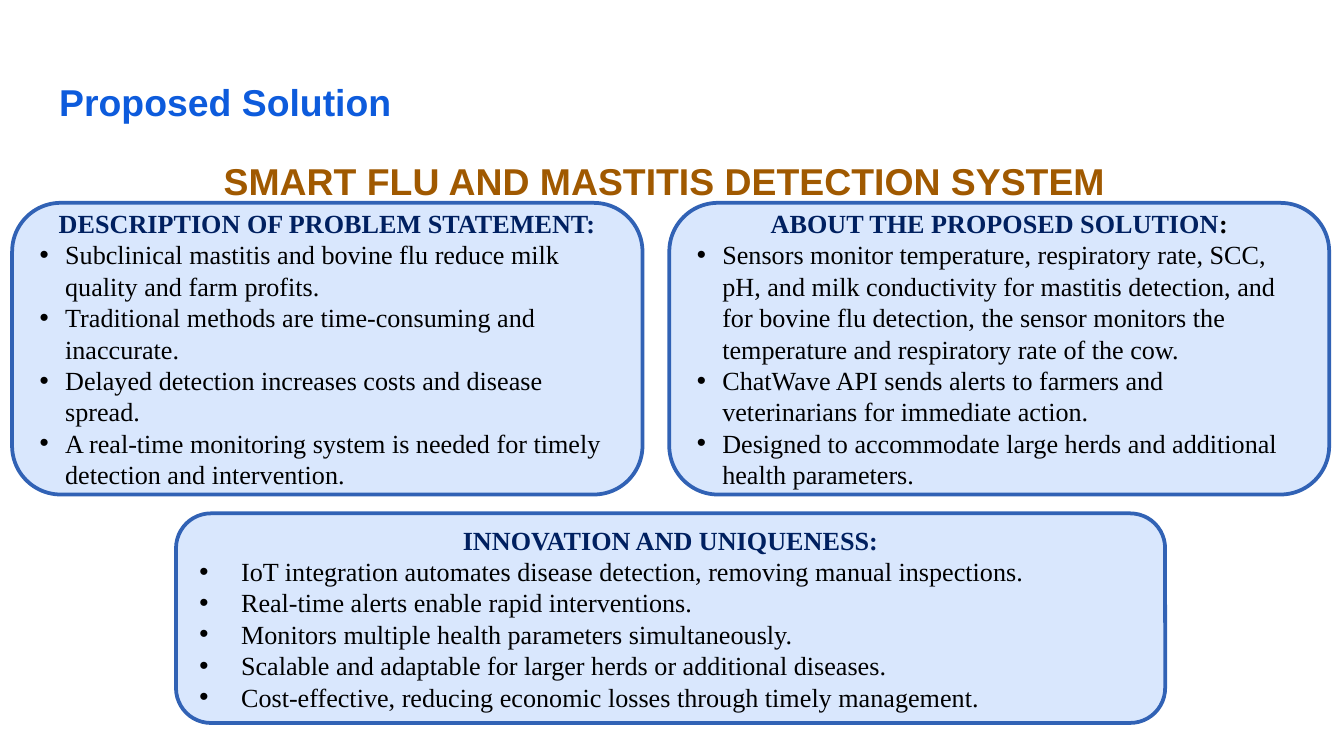
from lxml.etree import SubElement
from pptx import Presentation
from pptx.dml.color import RGBColor
from pptx.enum.shapes import MSO_SHAPE
from pptx.enum.text import MSO_ANCHOR, MSO_AUTO_SIZE, PP_ALIGN
from pptx.oxml.ns import qn
from pptx.util import Inches, Pt

COLORS = {
    "title": "0D5BDC",
    "subtitle": "A05900",
    "heading": "002060",
    "text": "000000",
    "fill": "D9E7FD",
    "line": "3162B5",
}
COLUMNS, ROWS = 100, 56.25
PANEL_ROW, PANEL_HEIGHT = 15.1, 21.7

PROBLEM = [
    "Subclinical mastitis and bovine flu reduce milk quality and farm profits.",
    "Traditional methods are time-consuming and inaccurate.",
    "Delayed detection increases costs and disease spread.",
    "A real-time monitoring system is needed for timely detection and intervention.",
]
SOLUTION = [
    "Sensors monitor temperature, respiratory rate, SCC, pH, and milk conductivity "
    "for mastitis detection, and for bovine flu detection, the sensor monitors the "
    "temperature and respiratory rate of the cow.",
    "ChatWave API sends alerts to farmers and veterinarians for immediate action.",
    "Designed to accommodate large herds and additional health parameters.",
]
INNOVATION = [
    "IoT integration automates disease detection, removing manual inspections.",
    "Real-time alerts enable rapid interventions.",
    "Monitors multiple health parameters simultaneously.",
    "Scalable and adaptable for larger herds or additional diseases.",
    "Cost-effective, reducing economic losses through timely management.",
]


class SlideBuilder:
    """Places styled elements on a slide, measured in grid columns and rows."""

    def __init__(self, prs):
        self.prs = prs
        self.s = prs.slides.add_slide(prs.slide_layouts[1])

    def box(self, col, row, cols, rows):
        w, h = self.prs.slide_width / COLUMNS, self.prs.slide_height / ROWS
        return int(col * w), int(row * h), int(cols * w), int(rows * h)

    def style(self, p, font, size, color, bold=False):
        for r in p.runs:
            r.font.name, r.font.size, r.font.bold = font, Pt(size), bold
            r.font.color.rgb = RGBColor.from_string(COLORS[color])

    def bullet(self, p, indent):
        pPr = p._p.get_or_add_pPr()
        pPr.set("marL", str(Inches(indent)))
        pPr.set("indent", str(-Inches(indent)))
        if indent:
            color = SubElement(pPr, qn("a:buClr"))
            SubElement(color, qn("a:srgbClr"), val=COLORS["text"])
            SubElement(pPr, qn("a:buFont"), typeface="Arial")
            SubElement(pPr, qn("a:buChar"), char="•")
        else:
            SubElement(pPr, qn("a:buNone"))

    def placeholder(self, sp, grid, text, color, align, spacing):
        sp.left, sp.top, sp.width, sp.height = self.box(*grid)
        tf = sp.text_frame
        tf.text = text
        tf.auto_size, tf.vertical_anchor = MSO_AUTO_SIZE.NONE, MSO_ANCHOR.TOP
        tf.margin_left = tf.margin_right = Inches(0.1)
        tf.margin_top = tf.margin_bottom = Inches(0.1)
        p = tf.paragraphs[0]
        p.alignment, p.line_spacing, p.space_before = align, spacing, Pt(0)
        self.bullet(p, 0)
        self.style(p, "Arial", 20, color, True)

    def title(self, text, *grid):
        self.placeholder(self.s.shapes.title, grid, text, "title", PP_ALIGN.LEFT, 1.0)

    def subtitle(self, text, *grid):
        self.placeholder(
            self.s.placeholders[1], grid, text, "subtitle", PP_ALIGN.CENTER, 1.15
        )

    def panel(self, heading, items, indent, *grid, colon="heading"):
        sp = self.s.shapes.add_shape(MSO_SHAPE.ROUNDED_RECTANGLE, *self.box(*grid))
        sp.shadow.inherit = False
        sp.fill.solid()
        sp.fill.fore_color.rgb = RGBColor.from_string(COLORS["fill"])
        sp.line.color.rgb = RGBColor.from_string(COLORS["line"])
        sp.line.width = Pt(2)
        tf = sp.text_frame
        tf.word_wrap, tf.vertical_anchor = True, MSO_ANCHOR.MIDDLE
        p = tf.paragraphs[0]
        p.text, p.alignment = heading, PP_ALIGN.CENTER
        r = p.add_run()
        r.text = ":"
        self.style(p, "Times New Roman", 14, "heading", True)
        r.font.color.rgb = RGBColor.from_string(COLORS[colon])
        for item in items:
            p = tf.add_paragraph()
            p.text, p.alignment = item, PP_ALIGN.LEFT
            self.bullet(p, indent)
            self.style(p, "Times New Roman", 14, "text")


def main():
    prs = Presentation()
    prs.slide_width = Inches(10)
    prs.slide_height = prs.slide_width * 9 // 16
    b = SlideBuilder(prs)
    b.title("Proposed Solution", 3.4, 4.9, 93.2, 8.9)
    b.subtitle("SMART FLU AND MASTITIS DETECTION SYSTEM", 0.7, 10.3, 97.5, 45.95)
    b.panel("DESCRIPTION OF PROBLEM STATEMENT", PROBLEM, 0.19,
            0.9, PANEL_ROW, 46.9, PANEL_HEIGHT)
    b.panel("ABOUT THE PROPOSED SOLUTION", SOLUTION, 0.19,
            49.8, PANEL_ROW, 49.1, PANEL_HEIGHT, colon="text")
    b.panel("INNOVATION AND UNIQUENESS", INNOVATION, 0.31, 13.1, 38.2, 73.6, 15.6)
    prs.save("out.pptx")


if __name__ == "__main__":
    main()
